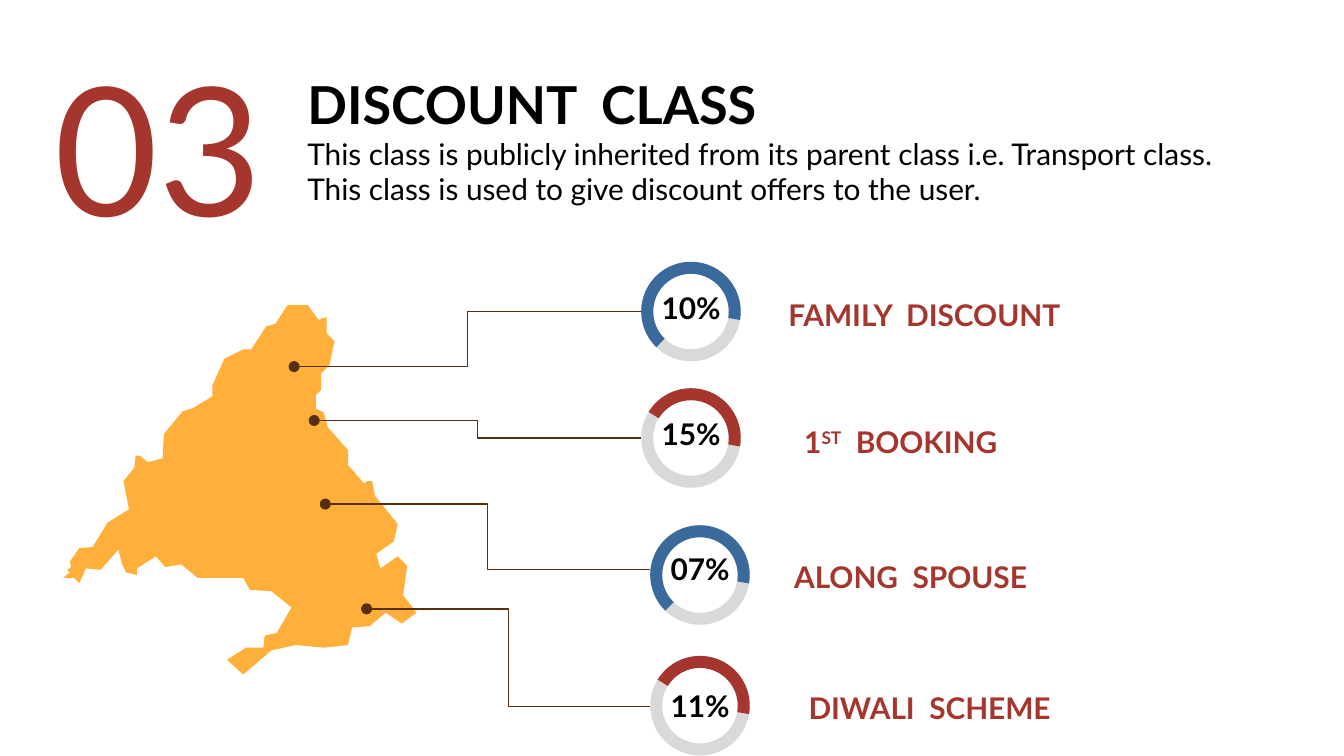
from lxml.etree import SubElement
from pptx import Presentation
from pptx.dml.color import RGBColor
from pptx.enum.shapes import MSO_CONNECTOR, MSO_SHAPE
from pptx.enum.text import MSO_ANCHOR, MSO_AUTO_SIZE, PP_ALIGN
from pptx.oxml.ns import qn
from pptx.util import Cm, Pt

# Content
RED, BLUE, GREY = "A5362D", "3A6A9B", "D9D9D9"
BLACK, BROWN, ORANGE = "000000", "572E10", "FFAF3A"
FONT = "Lato"
NUMBER = "03"
TITLE = "DISCOUNT  CLASS"
INTRO = [
    "This class is publicly inherited from its parent class i.e. Transport class.",
    "This class is used to give discount offers to the user.",
]
RING = 1.88
TEXT_H = 0.89
ARC_START = {BLUE: 80.47, RED: 126.94}
ARC_END, THICKNESS = 5.86, 0.12

# Centimetres: ring corner, text top, heading left and width, line start y, map dot
OFFERS = [
    dict(value="10%", name=["FAMILY  DISCOUNT"], color=BLUE, ring=(12.12, 4.95),
         text_y=5.36, name_x=14.3, name_w=5.99, line_y=5.89, dot=(5.56, 6.93)),
    dict(value="15%", name=["1", "ST", "  BOOKING"], color=RED, ring=(12.12, 7.34),
         text_y=7.75, name_x=14.88, name_w=4.22, line_y=8.28, dot=(5.94, 7.95)),
    dict(value="07%", name=["ALONG  SPOUSE"], color=BLUE, ring=(12.29, 9.93),
         text_y=10.31, name_x=13.89, name_w=5.77, line_y=10.77, dot=(6.15, 9.53)),
    dict(value="11%", name=["DIWALI  SCHEME"], color=RED, ring=(12.29, 12.4),
         text_y=12.9, name_x=14.88, name_w=5.23, line_y=13.36, dot=(6.93, 11.51),
         wrap=False, inset=0.13),
]

# Map outline, in hundredths of an inch
MAP = [
    (214, 227), (205, 241), (198, 243), (187, 260), (181, 260), (167, 267), (158, 287),
    (158, 295), (143, 304), (136, 306), (122, 323), (121, 341), (110, 344), (104, 339),
    (101, 339), (100, 348), (92, 358), (96, 379), (80, 389), (69, 407), (59, 408),
    (52, 418), (53, 422), (50, 424), (52, 426), (47, 430), (55, 430), (59, 434),
    (64, 423), (75, 424), (88, 409), (91, 420), (94, 426), (102, 428), (102, 423),
    (116, 414), (123, 422), (135, 420), (147, 430), (181, 430), (186, 439), (202, 440),
    (217, 452), (206, 471), (197, 473), (196, 482), (183, 482), (169, 491), (181, 502),
    (202, 484), (220, 480), (241, 482), (259, 480), (262, 467), (275, 466), (287, 456),
    (299, 464), (310, 456), (300, 443), (303, 421), (296, 414), (283, 423), (280, 412),
    (293, 403), (296, 390), (279, 369), (277, 358), (273, 358), (271, 360), (259, 346),
    (259, 335), (244, 318), (241, 307), (235, 304), (235, 294), (239, 290), (239, 278),
    (245, 272), (249, 254), (243, 248), (243, 236), (237, 238), (229, 227),
]


def rgb(value):
    return RGBColor.from_string(value)


def fill(sp, color):
    sp.shadow.inherit = False
    sp.fill.solid()
    sp.fill.fore_color.rgb = rgb(color)
    sp.line.fill.background()


def add_run(p, text, size, color, bold=False):
    r = p.add_run()
    r.text = text
    for key, value in dict(name=FONT, size=Pt(size), bold=bold).items():
        setattr(r.font, key, value)
    r.font.color.rgb = rgb(color)
    return r


def format_frame(tf, inset, **frame):
    sides = dict.fromkeys(("margin_left", "margin_right"), Cm(0.25))
    sides.update(dict.fromkeys(("margin_top", "margin_bottom"), Cm(inset)))
    for key, value in {**sides, "word_wrap": True, **frame}.items():
        setattr(tf, key, value)


def add_text(s, box, runs, size, color, align, bold=True, inset=0.25, **frame):
    tf = s.shapes.add_textbox(*map(Cm, box)).text_frame
    format_frame(tf, inset, **frame)
    p = tf.paragraphs[0]
    p.alignment = align
    return [add_run(p, text, size, color, bold) for text in runs]


def add_ring(s, x, y, color):
    box = [Cm(v) for v in (x, y, RING, RING)]
    sp = s.shapes.add_shape(MSO_SHAPE.DONUT, *box)
    sp.adjustments[0] = THICKNESS
    fill(sp, GREY)
    sp = s.shapes.add_shape(MSO_SHAPE.BLOCK_ARC, *box)
    for i, value in enumerate((ARC_START[color], ARC_END, THICKNESS)):
        sp.adjustments[i] = value
    fill(sp, color)


def add_leader(s, start, end):
    line = s.shapes.add_connector(MSO_CONNECTOR.ELBOW, *map(Cm, start + end))
    line.line.color.rgb = rgb(BROWN)
    line.line.width = Pt(0.75)
    SubElement(line.line._get_or_add_ln(), qn("a:tailEnd"), type="oval")
    SubElement(line._element.spPr, qn("a:effectLst"))


prs = Presentation()
prs.slide_width, prs.slide_height = Cm(25.4), Cm(14.29)
s = prs.slides.add_slide(prs.slide_layouts[5])

# Title with introduction
title = s.shapes.title
title.left, title.top, title.width, title.height = map(Cm, (5.56, 1.12, 17.83, 3.25))
format_frame(title.text_frame, 0.25, vertical_anchor=MSO_ANCHOR.TOP,
             auto_size=MSO_AUTO_SIZE.NONE)
p = title.text_frame.paragraphs[0]
p.alignment = PP_ALIGN.LEFT
add_run(p, TITLE, 28, BLACK, True)
for text in INTRO:
    p.add_line_break()
    add_run(p, text, 16, BLACK)

# Section number
add_text(s, (0.79, 0.58, 4.75, 4.37), [NUMBER], 96, RED, PP_ALIGN.LEFT,
         bold=False, inset=0.13, word_wrap=False)

# Map
builder = s.shapes.build_freeform(*MAP[0], scale=Cm(2.54) / 100)
builder.add_line_segments(MAP[1:], close=True)
fill(builder.convert_to_shape(), ORANGE)

# Offers: leader line, ring, percentage and heading
for o in OFFERS:
    x, y = o["ring"]
    add_leader(s, (x, o["line_y"]), o["dot"])
    add_ring(s, x, y, o["color"])
    add_text(s, (x, o["text_y"], RING, TEXT_H), [o["value"]], 16, BLACK,
             PP_ALIGN.CENTER, vertical_anchor=MSO_ANCHOR.MIDDLE)
    runs = add_text(s, (o["name_x"], o["text_y"], o["name_w"], TEXT_H), o["name"], 16,
                    RED, PP_ALIGN.RIGHT, inset=o.get("inset", 0.25),
                    word_wrap=o.get("wrap", True))
    for r in runs[1:2]:  # ordinal ending is raised
        r.font._element.set("baseline", "30000")

prs.save("out.pptx")
